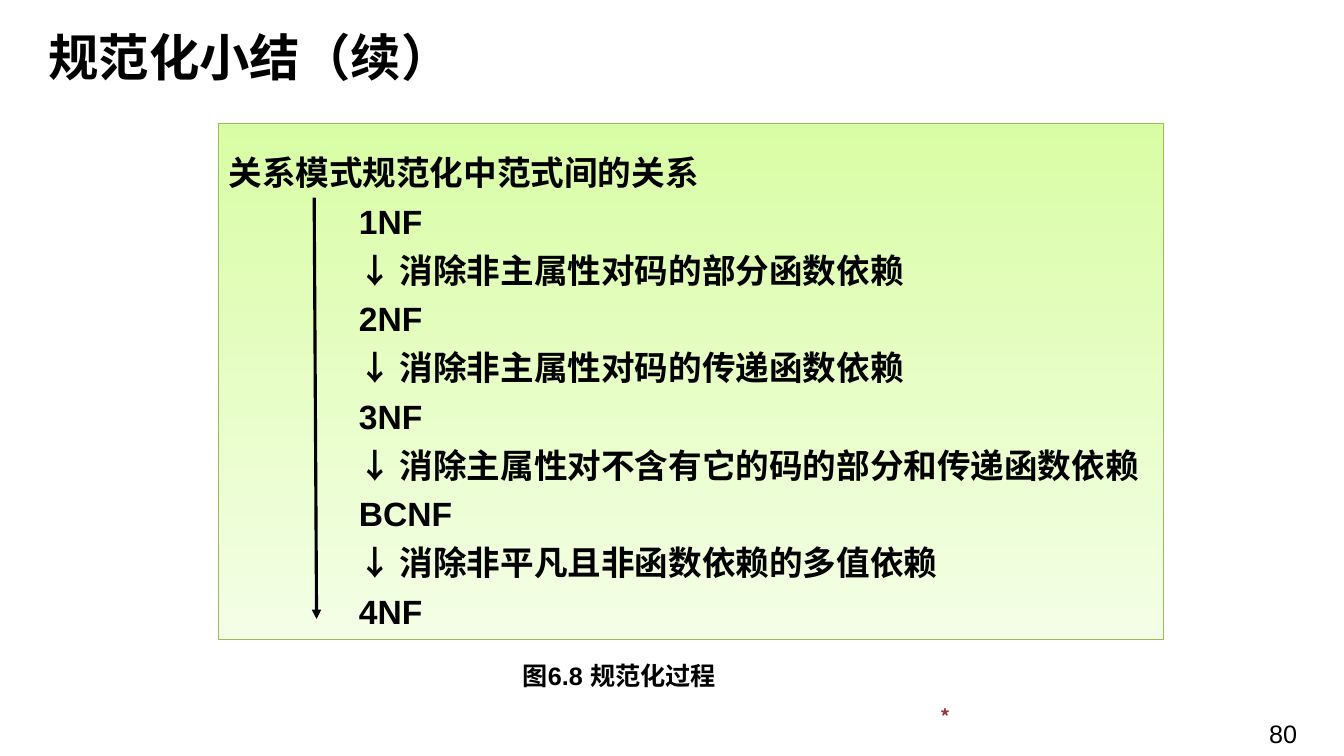
from lxml import etree
from pptx import Presentation
from pptx.dml.color import RGBColor
from pptx.enum.shapes import MSO_CONNECTOR, MSO_SHAPE
from pptx.enum.text import MSO_ANCHOR, PP_ALIGN
from pptx.oxml.ns import qn
from pptx.util import Cm, Pt

COLORS = {
    "text": "000000",
    "star": "953734",
    "panel top": "D9FDA5",
    "panel bottom": "F4FEE6",
    "panel edge": "9BBB59",
}
CHINESE_FONT = "Noto Sans CJK SC"


def add_text_box(left, top, width, height):
    box = slide.shapes.add_textbox(Cm(left), Cm(top), Cm(width), Cm(height))
    box.text_frame.word_wrap = True
    return box.text_frame


def write(para, text, size, color="text", font="Arial", bold=True):
    span = para.add_run()
    span.text = text
    para.font.size = Pt(size)
    para.font.bold = bold
    para.font.name = font
    para.font.color.rgb = RGBColor.from_string(COLORS[color])
    # East Asian characters take their own typeface
    properties = span._r.get_or_add_rPr()
    properties.set("lang", "zh-CN")
    etree.SubElement(properties, qn("a:ea"), typeface=CHINESE_FONT)


deck = Presentation()
deck.slide_width, deck.slide_height = Cm(33.88), Cm(19.05)
slide = deck.slides.add_slide(deck.slide_layouts[6])

# Green panel
panel = slide.shapes.add_shape(
    MSO_SHAPE.RECTANGLE, Cm(5.51), Cm(3.12), Cm(23.83), Cm(13.0))
panel.shadow.inherit = False
panel.fill.gradient()
panel.fill.gradient_angle = 270
for stop, name in zip(panel.fill.gradient_stops, ("panel top", "panel bottom")):
    stop.color.rgb = RGBColor.from_string(COLORS[name])
panel.line.color.rgb = RGBColor.from_string(COLORS["panel edge"])
panel.line.width = Pt(0.75)

# Title
title = add_text_box(0.97, 0.64, 28.27, 1.55)
title.vertical_anchor = MSO_ANCHOR.MIDDLE
write(title.paragraphs[0], "规范化小结（续）", 36, font=CHINESE_FONT)

# Normal forms, each followed by the step to the next one
steps = [
    ("1NF", "消除非主属性对码的部分函数依赖"),
    ("2NF", "消除非主属性对码的传递函数依赖"),
    ("3NF", "消除主属性对不含有它的码的部分和传递函数依赖"),
    ("BCNF", "消除非平凡且非函数依赖的多值依赖"),
    ("4NF", None),
]
body = add_text_box(5.51, 3.71, 25.58, 13.49)
write(body.paragraphs[0], "关系模式规范化中范式间的关系", 24)
for form, removal in steps:
    lines = [form] if removal is None else [form, f"↓\t{removal}"]
    for line in lines:
        para = body.add_paragraph()
        para.space_before = Pt(6)
        layout = para._p.get_or_add_pPr()
        layout.set("marL", str(Cm(4.32)))
        layout.set("indent", str(Cm(-1.03)))
        tabs = etree.SubElement(layout, qn("a:tabLst"))
        etree.SubElement(tabs, qn("a:tab"), pos="0", algn="l")
        write(para, line, 24)

# Long arrow beside the steps
arrow = slide.shapes.add_connector(
    MSO_CONNECTOR.STRAIGHT, Cm(7.92), Cm(4.98), Cm(7.98), Cm(15.6))
arrow.line.color.rgb = RGBColor.from_string(COLORS["text"])
arrow.line.width = Pt(2.25)
etree.SubElement(arrow.line._get_or_add_ln(), qn("a:tailEnd"), type="triangle")
etree.SubElement(arrow._element.spPr, qn("a:effectLst"))

# Caption, star and page number
caption = add_text_box(12.93, 16.51, 8.41, 1.02)
write(caption.paragraphs[0], "图6.8 规范化过程", 18)
star = add_text_box(23.47, 17.65, 4.95, 0.86)
write(star.paragraphs[0], "*", 14, "star", CHINESE_FONT)
number = add_text_box(29.77, 17.98, 3.18, 1.02)
number.paragraphs[0].alignment = PP_ALIGN.RIGHT
write(number.paragraphs[0], "80", 18, bold=False)

deck.save("out.pptx")
